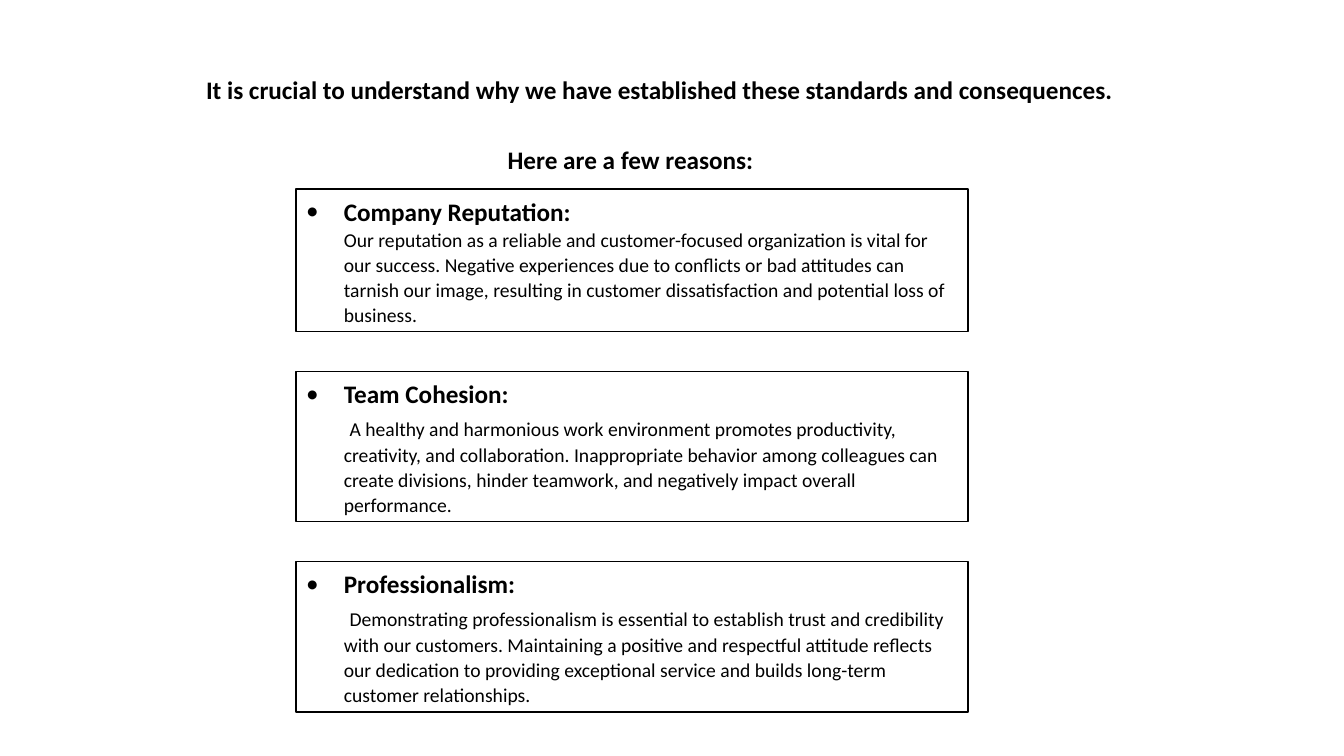
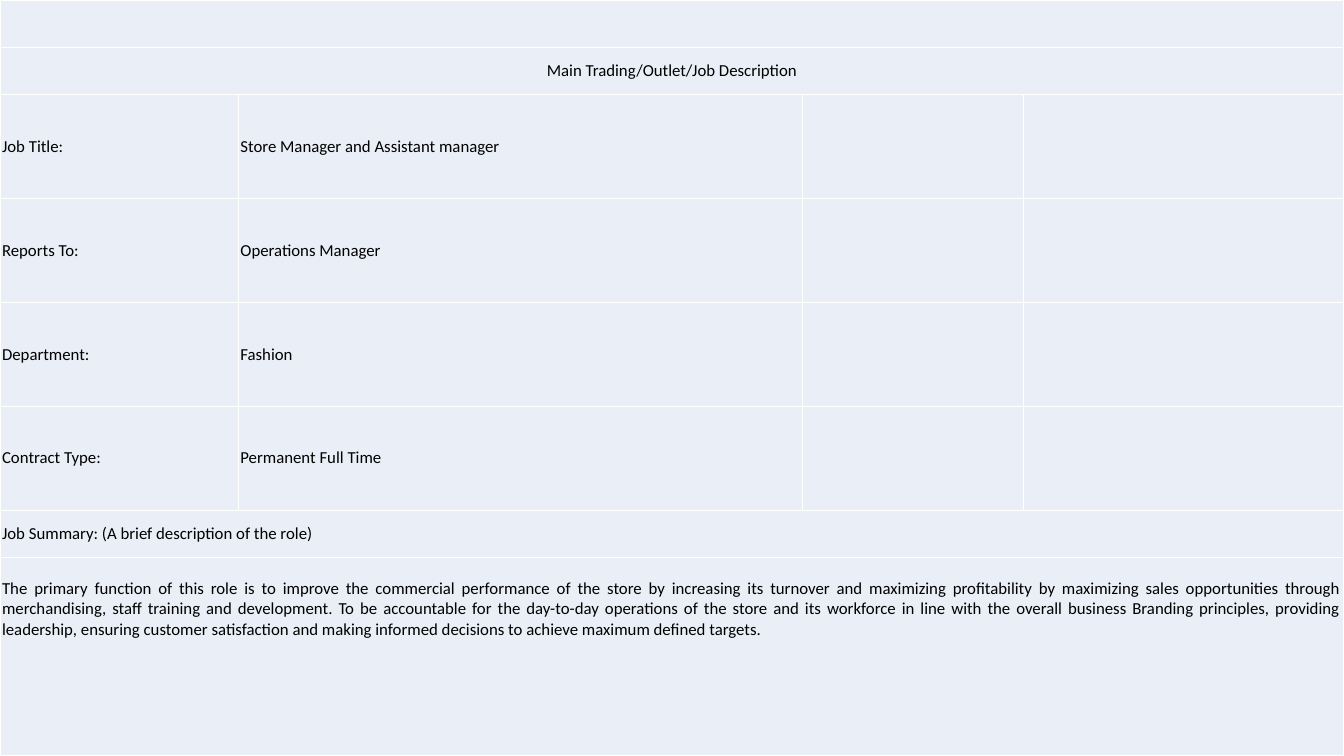
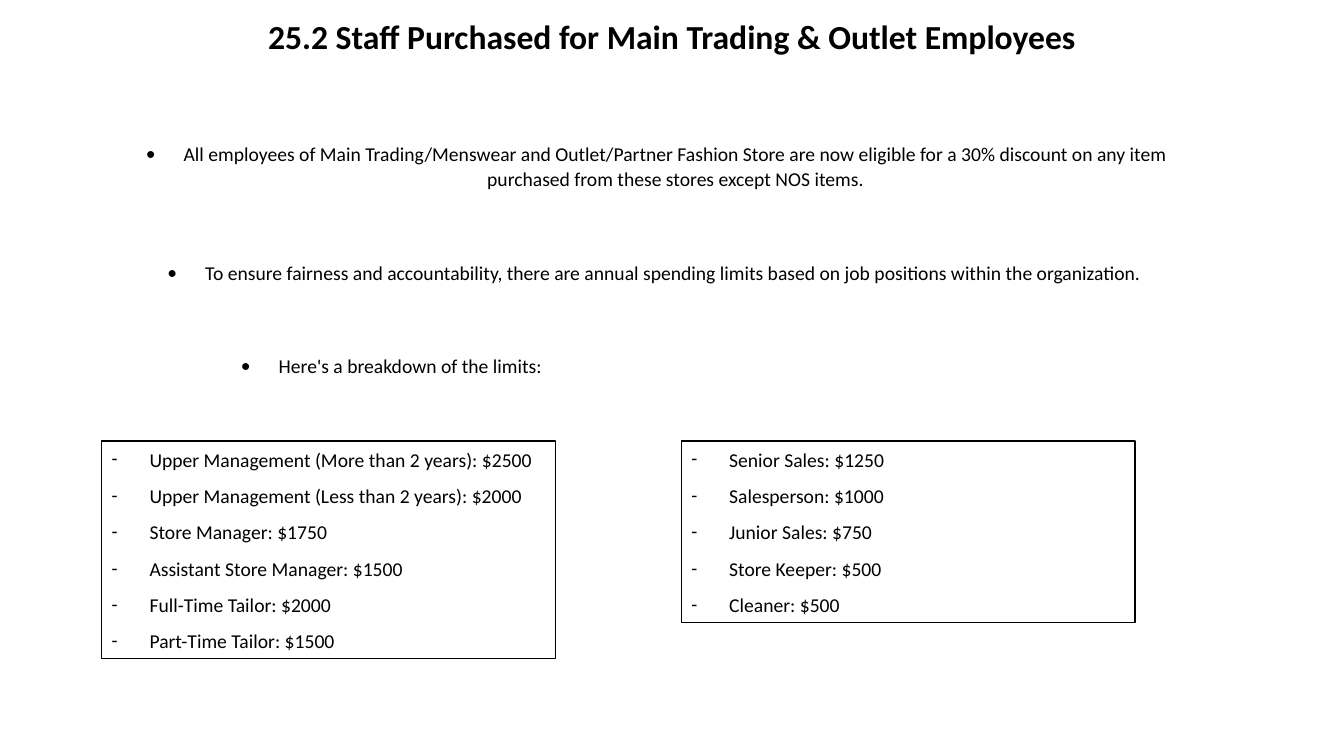
from dataclasses import dataclass

from lxml import etree
from pptx import Presentation
from pptx.dml.color import RGBColor
from pptx.enum.shapes import MSO_SHAPE
from pptx.enum.text import MSO_ANCHOR, MSO_AUTO_SIZE, PP_ALIGN
from pptx.oxml.ns import qn
from pptx.util import Pt

RECT = MSO_SHAPE.RECTANGLE
TOP, MIDDLE = MSO_ANCHOR.TOP, MSO_ANCHOR.MIDDLE
LEFT, CENTER, JUSTIFY = PP_ALIGN.LEFT, PP_ALIGN.CENTER, PP_ALIGN.JUSTIFY
GROW, FIXED = MSO_AUTO_SIZE.SHAPE_TO_FIT_TEXT, MSO_AUTO_SIZE.NONE
PX = 9525


@dataclass(frozen=True)
class Theme:
    font: str = "Calibri"
    ink: RGBColor = RGBColor(0, 0, 0)
    paper: RGBColor = RGBColor(255, 255, 255)
    cell: RGBColor = RGBColor(0xEA, 0xEF, 0xF7)
    title: int = 24
    head: int = 18
    body: int = 14
    small: int = 12
    line: int = 1
    lead: float = 1.07
    after: int = 8
    indent: int = 36


T = Theme()


def write(para, runs, align=LEFT):
    """Add (text, size, bold) runs; a lone newline is a line break."""
    para.alignment = align
    for text, size, bold in runs:
        if text == "\n":
            para.add_line_break()
            continue
        run = para.add_run()
        run.text = text
        font = run.font
        font.name, font.size, font.bold = T.font, Pt(size), bold
        font.color.rgb = T.ink


def frame(slide, box, paras, align=LEFT, bullet=None, edge=False, wrap=True, loose=True):
    """Place a text box, or an outlined panel, with one list of runs per paragraph."""
    place = [n * PX for n in box]
    if edge:
        shape = slide.shapes.add_shape(RECT, *place)
        shape.shadow.inherit = False
        shape.fill.solid()
        shape.fill.fore_color.rgb = T.paper
        shape.line.color.rgb = T.ink
        shape.line.width = Pt(T.line)
    else:
        shape = slide.shapes.add_textbox(*place)
    body = shape.text_frame
    body.word_wrap = wrap
    body.auto_size = GROW if loose else FIXED
    body.vertical_anchor = TOP
    for i, runs in enumerate(paras):
        para = body.add_paragraph() if i else body.paragraphs[0]
        write(para, runs, align)
        if loose:
            para.line_spacing = T.lead
            para.space_after = Pt(T.after)
        if bullet:
            props = para._p.get_or_add_pPr()
            props.set("marL", str(T.indent * PX))
            props.set("indent", str(-T.indent * PX))
            etree.SubElement(props, qn("a:buFont"), typeface=T.font)
            etree.SubElement(props, qn("a:buChar"), char=bullet)


deck = Presentation()
deck.slide_width, deck.slide_height = 1280 * PX, 720 * PX
blank = deck.slide_layouts[6]

# Reasons
slide = deck.slides.add_slide(blank)
intro = "It is crucial to understand why we have established these standards and consequences. "
frame(slide, (55, 64, 1152, 41), [[(intro, T.head, True)]], CENTER)
frame(slide, (474, 131, 255, 41), [[("Here are a few reasons:", T.head, True)]], wrap=False)

reasons = [
    (136, "Company Reputation: ", "",
     "Our reputation as a reliable and customer-focused organization is vital for our success. "
     "Negative experiences due to conflicts or bad attitudes can tarnish our image, resulting in "
     "customer dissatisfaction and potential loss of business."),
    (143, "Team Cohesion:", " ",
     "A healthy and harmonious work environment promotes productivity, creativity, and "
     "collaboration. Inappropriate behavior among colleagues can create divisions, hinder "
     "teamwork, and negatively impact overall performance."),
    (143, "Professionalism:", " ",
     "Demonstrating professionalism is essential to establish trust and credibility with our "
     "customers. Maintaining a positive and respectful attitude reflects our dedication to "
     "providing exceptional service and builds long-term customer relationships."),
]
top, gap = 180, 38
for high, head, lead, text in reasons:
    runs = [(head, T.head, True), ("\n", T.head, True)]
    if lead:
        runs.append((lead, T.head, True))
    runs.append((text, T.body, False))
    frame(slide, (282, top, 640, high), [runs], bullet="•", edge=True)
    top += high + gap

# Job description
slide = deck.slides.add_slide(blank)
cols = [227, 537, 211, 305]
rows = [45, 45] + [99] * 4 + [45, 189]
grid = slide.shapes.add_table(len(rows), len(cols), 0, 0, 1280 * PX, 720 * PX).table
grid.first_row = grid.horz_banding = False
for col, wide in zip(grid.columns, cols):
    col.width = wide * PX
for row, high in zip(grid.rows, rows):
    row.height = high * PX
for cell in grid.iter_cells():
    props = cell._tc.get_or_add_tcPr()
    for side in ("a:lnL", "a:lnR", "a:lnT", "a:lnB"):
        line = etree.SubElement(props, qn(side), w=str(Pt(T.line)))
        fill = etree.SubElement(line, qn("a:solidFill"))
        etree.SubElement(fill, qn("a:srgbClr"), val=str(T.paper))
    cell.fill.solid()
    cell.fill.fore_color.rgb = T.cell
for r in (0, 1, 6, 7):
    grid.cell(r, 0).merge(grid.cell(r, 3))

summary = (
    "The primary function of this role is to improve the commercial performance of the store by "
    "increasing its turnover and maximizing profitability by maximizing sales opportunities "
    "through merchandising, staff training and development. To be accountable for the day-to-day "
    "operations of the store and its workforce in line with the overall business Branding "
    "principles, providing leadership, ensuring customer satisfaction and making informed "
    "decisions to achieve maximum defined targets."
)
facts = [
    ("Job Title:", "Store Manager and Assistant manager"),
    ("Reports To:", "Operations Manager"),
    ("Department:", "Fashion"),
    ("Contract Type:", "Permanent Full Time"),
]
items = [(1, 0, "Main Trading/Outlet/Job Description", CENTER)]
for r, pair in enumerate(facts, 2):
    items += [(r, c, text, LEFT) for c, text in enumerate(pair)]
items += [(6, 0, "Job Summary: (A brief description of the role)", LEFT), (7, 0, summary, JUSTIFY)]
for r, c, text, align in items:
    cell = grid.cell(r, c)
    cell.margin_left = cell.margin_right = 2 * PX
    cell.margin_top = cell.margin_bottom = 0
    cell.vertical_anchor = MIDDLE
    write(cell.text_frame.paragraphs[0], [(text, T.small, False)], align)
last = grid.cell(7, 0)
last.vertical_anchor = TOP
last.margin_top = 20 * PX

# Staff purchases
slide = deck.slides.add_slide(blank)
title = "25.2 Staff Purchased for Main Trading & Outlet Employees"
frame(slide, (88, 10, 1104, 63), [[(title, T.title, True)]], CENTER, loose=False)

notes = [
    ((88, 129, 1075, 59), CENTER, True,
     "All employees of Main Trading/Menswear and Outlet/Partner Fashion Store are now eligible for "
     "a 30% discount on any item purchased from these stores except NOS items."),
    ((88, 242, 1075, 34), CENTER, True,
     "To ensure fairness and accountability, there are annual spending limits based on job "
     "positions within the organization. "),
    ((220, 331, 309, 33), LEFT, False, "Here's a breakdown of the limits:"),
]
for box, align, wrap, text in notes:
    frame(slide, box, [[(text, T.body, False)]], align, bullet="•", wrap=wrap)

limits = [
    (97, 207, [
        ("Upper Management (More than 2 years)", 2500),
        ("Upper Management (Less than 2 years)", 2000),
        ("Store Manager", 1750),
        ("Assistant Store Manager", 1500),
        ("Full-Time Tailor", 2000),
        ("Part-Time Tailor", 1500),
    ]),
    (649, 173, [
        ("Senior Sales", 1250),
        ("Salesperson", 1000),
        ("Junior Sales", 750),
        ("Store Keeper", 500),
        ("Cleaner", 500),
    ]),
]
for left, high, jobs in limits:
    paras = [[(f"{job}: ${cap}", T.body, False)] for job, cap in jobs]
    frame(slide, (left, 420, 432, high), paras, bullet="-", edge=True)

deck.save("out.pptx")
